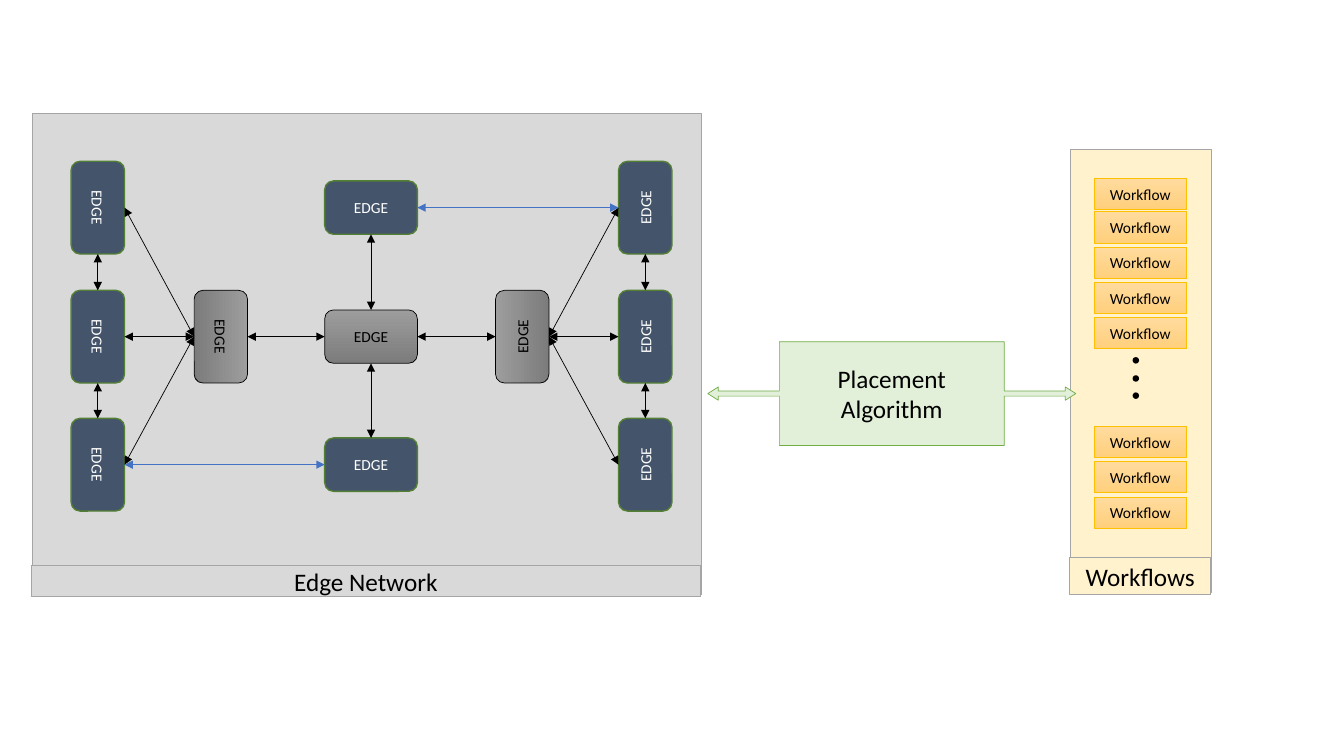
"""Build the slide on placing workflows in an edge network."""
from dataclasses import dataclass
from typing import Optional

from lxml.etree import SubElement
from pptx import Presentation
from pptx.dml.color import RGBColor
from pptx.enum.shapes import MSO_CONNECTOR, MSO_SHAPE
from pptx.enum.text import MSO_ANCHOR, PP_ALIGN
from pptx.oxml.ns import qn
from pptx.util import Inches, Pt

BLACK = RGBColor(0x00, 0x00, 0x00)
WHITE = RGBColor(0xFF, 0xFF, 0xFF)
PANEL_GREY = RGBColor(0xD9, 0xD9, 0xD9)
BORDER_GREY = RGBColor(0xA5, 0xA5, 0xA5)
CREAM = RGBColor(0xFF, 0xF2, 0xCC)
GOLD = RGBColor(0xFF, 0xC0, 0x00)
GOLD_LIGHT = RGBColor(0xFF, 0xDB, 0x9E)
GOLD_DEEP = RGBColor(0xFF, 0xD0, 0x7C)
MINT = RGBColor(0xE2, 0xF0, 0xD9)
GREEN = RGBColor(0x70, 0xAD, 0x47)
DARK_GREEN = RGBColor(0x53, 0x80, 0x35)
SLATE = RGBColor(0x44, 0x54, 0x6A)
STEEL_LIGHT = RGBColor(0x9D, 0x9D, 0x9D)
STEEL_DEEP = RGBColor(0x7C, 0x7C, 0x7C)
BLUE = RGBColor(0x44, 0x72, 0xC4)

FONT = "Calibri"
NODE_LONG, NODE_SHORT = 0.92, 0.53
SIDES = {"left": (-1, 0), "right": (1, 0), "top": (0, -1), "bottom": (0, 1)}


@dataclass(frozen=True)
class Look:
    fill: RGBColor
    border: RGBColor
    border_width: float = 0.5
    fill_end: Optional[RGBColor] = None


@dataclass(frozen=True)
class Node:
    x: float
    y: float
    rotation: int = 0
    hub: bool = False

    def side(self, name: str) -> tuple[float, float]:
        """Return the middle of the named side as it appears after rotation."""
        across, down = SIDES[name]
        width, height = (NODE_SHORT, NODE_LONG) if self.rotation else (NODE_LONG, NODE_SHORT)
        return self.x + across * width / 2, self.y + down * height / 2


@dataclass(frozen=True)
class Link:
    start: str
    start_side: str
    end: str
    end_side: str
    color: RGBColor = BLACK


GREY_PANEL = Look(PANEL_GREY, BORDER_GREY)
CREAM_PANEL = Look(CREAM, BORDER_GREY)
WORKFLOW = Look(GOLD_LIGHT, GOLD, fill_end=GOLD_DEEP)
DOT = Look(BLACK, BLACK, 1)
ALGORITHM = Look(MINT, GREEN)
EDGE_NODE = Look(SLATE, DARK_GREEN, 1)
HUB_NODE = Look(STEEL_LIGHT, BLACK, fill_end=STEEL_DEEP)

ROWS = {"top": 2.06, "middle": 3.34, "bottom": 4.61}
NODES = {
    **{f"west {row}": Node(0.97, y, 90) for row, y in ROWS.items()},
    **{f"east {row}": Node(6.4, y, 270) for row, y in ROWS.items()},
    **{f"center {row}": Node(3.68, y, hub=row == "middle") for row, y in ROWS.items()},
    "west hub": Node(2.19, ROWS["middle"], 90, True),
    "east hub": Node(5.18, ROWS["middle"], 270, True),
}
LINKS = [
    *(Link("west hub", "left", f"west {row}", "right") for row in ROWS),
    *(Link("east hub", "right", f"east {row}", "left") for row in ROWS),
    *(Link(f"{column} {upper}", "bottom", f"{column} {lower}", "top")
      for column in ("west", "center", "east")
      for upper, lower in (("top", "middle"), ("middle", "bottom"))),
    Link("west hub", "right", "center middle", "left"),
    Link("center middle", "right", "east hub", "left"),
    Link("center top", "right", "east top", "left", BLUE),
    Link("west bottom", "right", "center bottom", "left", BLUE),
]
WORKFLOW_TOPS = [1.77, *(2.1 + 0.35 * i for i in range(4)), *(4.23 + 0.35 * i for i in range(3))]
DOT_TOPS = [3.55, 3.73, 3.9]


def write_text(shape, text: str, *, size: float, color: RGBColor) -> None:
    """Put one centred paragraph in a shape."""
    frame = shape.text_frame
    frame.word_wrap = True
    frame.vertical_anchor = MSO_ANCHOR.MIDDLE
    para = frame.paragraphs[0]
    para.alignment = PP_ALIGN.CENTER
    span = para.add_run()
    span.text = text
    span.font.name = FONT
    span.font.size = Pt(size)
    span.font.color.rgb = color


def draw_shape(page, kind: MSO_SHAPE, left: float, top: float, width: float,
               height: float, look: Look):
    """Draw a preset shape with the given look."""
    shape = page.shapes.add_shape(kind, Inches(left), Inches(top), Inches(width), Inches(height))
    shape.shadow.inherit = False
    if look.fill_end is None:
        shape.fill.solid()
        shape.fill.fore_color.rgb = look.fill
    else:
        shape.fill.gradient()
        shape.fill.gradient_angle = 270
        for stop, color in zip(shape.fill.gradient_stops, (look.fill, look.fill_end)):
            stop.color.rgb = color
    shape.line.color.rgb = look.border
    shape.line.width = Pt(look.border_width)
    return shape


def draw_node(page, node: Node) -> None:
    """Draw one node of the edge network."""
    shape = draw_shape(page, MSO_SHAPE.FLOWCHART_ALTERNATE_PROCESS, node.x - NODE_LONG / 2,
                       node.y - NODE_SHORT / 2, NODE_LONG, NODE_SHORT,
                       HUB_NODE if node.hub else EDGE_NODE)
    shape.rotation = node.rotation
    write_text(shape, "EDGE", size=11, color=BLACK if node.hub else WHITE)


def draw_link(page, link: Link) -> None:
    """Draw a double-headed arrow between two nodes."""
    start = NODES[link.start].side(link.start_side)
    end = NODES[link.end].side(link.end_side)
    connector = page.shapes.add_connector(
        MSO_CONNECTOR.STRAIGHT, *(Inches(value) for value in (*start, *end)))
    connector.line.color.rgb = link.color
    connector.line.width = Pt(0.5)
    properties = connector._element.spPr
    outline = properties.find(qn("a:ln"))
    for tag in ("a:headEnd", "a:tailEnd"):
        SubElement(outline, qn(tag), type="triangle")
    SubElement(properties, qn("a:effectLst"))


def main() -> None:
    """Build and save the deck."""
    deck = Presentation()
    deck.slide_width, deck.slide_height = Inches(13.33), Inches(7.5)
    page = deck.slides.add_slide(deck.slide_layouts[6])

    draw_shape(page, MSO_SHAPE.RECTANGLE, 0.32, 1.13, 6.64, 4.77, GREY_PANEL)
    draw_shape(page, MSO_SHAPE.RECTANGLE, 10.62, 1.48, 1.4, 4.4, CREAM_PANEL)

    for top in WORKFLOW_TOPS:
        box = draw_shape(page, MSO_SHAPE.RECTANGLE, 10.85, top, 0.92, 0.31, WORKFLOW)
        write_text(box, "Workflow", size=11, color=BLACK)
    for top in DOT_TOPS:
        draw_shape(page, MSO_SHAPE.FLOWCHART_CONNECTOR, 11.24, top, 0.05, 0.05, DOT)

    callout = draw_shape(page, MSO_SHAPE.LEFT_RIGHT_ARROW_CALLOUT, 7.02, 3.39, 3.65, 1.03,
                         ALGORITHM)
    for index, value in enumerate((0.049, 0.064, 0.101, 0.611)):
        callout.adjustments[index] = value
    write_text(callout, "Placement Algorithm", size=18, color=BLACK)

    for node in NODES.values():
        draw_node(page, node)
    for link in LINKS:
        draw_link(page, link)

    network_label = draw_shape(page, MSO_SHAPE.RECTANGLE, 0.31, 5.61, 6.64, 0.31, GREY_PANEL)
    write_text(network_label, "Edge Network", size=18, color=BLACK)
    workflows_label = draw_shape(page, MSO_SHAPE.RECTANGLE, 10.61, 5.53, 1.4, 0.37, CREAM_PANEL)
    write_text(workflows_label, "Workflows", size=18, color=BLACK)

    deck.save("out.pptx")


main()
